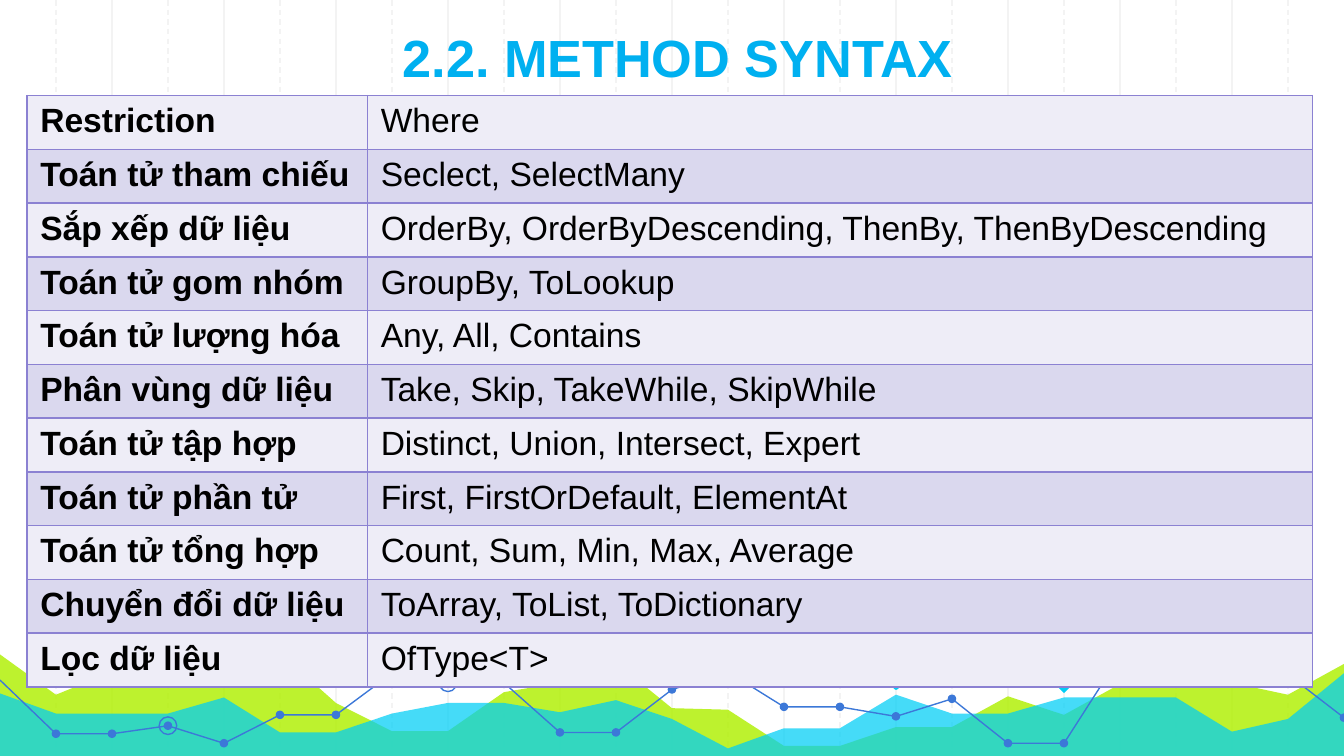
from lxml import etree
from pptx import Presentation
from pptx.dml.color import RGBColor
from pptx.enum.dml import MSO_LINE
from pptx.enum.shapes import MSO_CONNECTOR, MSO_SHAPE
from pptx.enum.text import MSO_ANCHOR, PP_ALIGN
from pptx.oxml import parse_xml
from pptx.oxml.ns import nsdecls, qn
from pptx.util import Pt

STRAIGHT = MSO_CONNECTOR.STRAIGHT
DASH = MSO_LINE.DASH
OVAL = MSO_SHAPE.OVAL
TEAR = MSO_SHAPE.TEAR
CENTER = PP_ALIGN.CENTER
MIDDLE = MSO_ANCHOR.MIDDLE

GRID = RGBColor(0xF3, 0xF3, 0xF3)
LIME = RGBColor(0xAF, 0xF0, 0x00)
CYAN = RGBColor(0x00, 0xCE, 0xF6)
BLUE = RGBColor(0x3C, 0x78, 0xD8)
TITLE = RGBColor(0x00, 0xB0, 0xF0)
BLACK = RGBColor(0x00, 0x00, 0x00)
BORDER = RGBColor(0x8B, 0x81, 0xD2)
BANDS = (RGBColor(0xEE, 0xED, 0xF7), RGBColor(0xDA, 0xD8, 0xEE))

FONT = "Arial"
STEPS = 24

LIME_RIDGE = [15.6, 37.2, 25, 25, 25, 14.9, 41.6, 56.7, 56.7, 35.8, 30.8, 20, 44.4,
              45.2, 64.6, 64.6, 54.5, 54.5, 38, 48, 31.5, 31.2, 30.8, 37.2, 20.7]
CYAN_RIDGE = [36.5, 47.3, 47.3, 47.3, 38.7, 57.4, 57.4, 47.3, 41.6, 41.6, 46.6, 40.1, 50.2,
              66, 55.2, 55.2, 37.2, 47.3, 47.3, 38.7, 38.7, 38.7, 57, 50.2, 25.7]
TREND = [29.3, 58.1, 58.1, 53.8, 63.2, 48, 48, 25.7, 30.8, 30.8, 57.4, 57.4, 34.4,
         25, 43.7, 43.7, 48.8, 39.4, 63.2, 63.2, 16.4, 26.4, 26.4, 26.4, 49.5]
TREND_PARTS = [(0, 11), (11, 20), (20, 24)]
RINGS = [3, 8, 13]
DROPS = [(5, 4.5, LIME, True), (16, 26.8, CYAN, False),
         (19, 29.7, CYAN, True), (23, 10.2, LIME, False)]

OPERATORS = [
    ("Restriction", "Where"),
    ("Toán tử tham chiếu", "Seclect, SelectMany"),
    ("Sắp xếp dữ liệu", "OrderBy, OrderByDescending, ThenBy, ThenByDescending"),
    ("Toán tử gom nhóm", "GroupBy, ToLookup"),
    ("Toán tử lượng hóa", "Any, All, Contains"),
    ("Phân vùng dữ liệu", "Take, Skip, TakeWhile, SkipWhile"),
    ("Toán tử tập hợp", "Distinct, Union, Intersect, Expert"),
    ("Toán tử phần tử", "First, FirstOrDefault, ElementAt"),
    ("Toán tử tổng hợp", "Count, Sum, Min, Max, Average"),
    ("Chuyển đổi dữ liệu", "ToArray, ToList, ToDictionary"),
    ("Lọc dữ liệu", "OfType<T>"),
]


def style_text(p, text, color, **formats):
    r = p.add_run()
    r.text = text
    for name, value in formats.items():
        setattr(r.font, name, value)
    r.font.color.rgb = color


def style_shape(sp, fill=None, line=None, width=0.75, alpha=None):
    sp.shadow.inherit = False
    if fill is None:
        sp.fill.background()
    else:
        sp.fill.solid()
        sp.fill.fore_color.rgb = fill
        if alpha:
            color = sp.element.spPr.find(qn("a:solidFill"))[0]
            etree.SubElement(color, qn("a:alpha"), val=str(alpha * 1000))
    if line is None:
        sp.line.fill.background()
    else:
        sp.line.color.rgb = line
        sp.line.width = Pt(width)


def add_outline(s, points, close, **style):
    points = [(Pt(x), Pt(y)) for x, y in points]
    builder = s.shapes.build_freeform(*points[0])
    builder.add_line_segments(points[1:], close=close)
    style_shape(builder.convert_to_shape(), **style)


def add_marker(s, kind, center, size, **style):
    x, y = center
    sp = s.shapes.add_shape(kind, Pt(x - size / 2), Pt(y - size / 2), Pt(size), Pt(size))
    style_shape(sp, **style)
    return sp


def add_grid(s, left, top, width, height):
    for first, dash in ((2, None), (1, DASH)):
        for i in range(first, STEPS, 2):
            x = left + i * width / STEPS
            line = s.shapes.add_connector(STRAIGHT, Pt(x), Pt(top), Pt(x), Pt(top + height))
            line.line.color.rgb = GRID
            line.line.width = Pt(0.75)
            line.line.dash_style = dash
            etree.SubElement(line.element.spPr, qn("a:effectLst"))


def add_landscape(s, left, top, width, height):
    def place(i, y):
        return left + i * width / STEPS, top + y

    def trace(heights):
        return [place(i, y) for i, y in enumerate(heights)]

    corners = [(left + width, top + height), (left, top + height)]
    for ridge, color, alpha in ((LIME_RIDGE, LIME, 82), (CYAN_RIDGE, CYAN, 73)):
        add_outline(s, trace(ridge) + corners, True, fill=color, alpha=alpha)
    for i, y, color, solid in DROPS:
        style = {"fill": color} if solid else {"line": color, "width": 2.25}
        add_marker(s, TEAR, place(i, y), 9.4, **style).rotation = 135
    trend = trace(TREND)
    for first, last in TREND_PARTS:
        add_outline(s, trend[first:last + 1], False, line=BLUE)
    for center in trend[1:]:
        add_marker(s, OVAL, center, 4.6, fill=BLUE)
    for i in RINGS:
        add_marker(s, OVAL, trend[i], 9.4, line=BLUE)


def add_title(s, left, top, width, height):
    sp = s.shapes.title
    s.shapes.element.append(sp.element)
    sp.left, sp.top, sp.width, sp.height = Pt(left), Pt(top), Pt(width), Pt(height)
    tf = sp.text_frame
    tf.word_wrap = True
    tf.vertical_anchor = MIDDLE
    p = tf.paragraphs[0]
    p.alignment = CENTER
    style_text(p, "2.2. METHOD SYNTAX", TITLE, name=FONT, size=Pt(28), bold=True)


def add_borders(cell):
    tcPr = cell._tc.get_or_add_tcPr()
    for side in ("lnL", "lnR", "lnT", "lnB"):
        tcPr.append(parse_xml(
            f'<a:{side} {nsdecls("a")} w="{Pt(1)}"><a:solidFill>'
            f'<a:srgbClr val="{BORDER}"/></a:solidFill></a:{side}>'))


def add_operator_table(s, left, top, width, height):
    frame = s.shapes.add_table(len(OPERATORS), 2, Pt(left), Pt(top), Pt(width), Pt(height))
    table = frame.table
    table.first_row = table.horz_banding = False
    label_width = 182.4
    table.columns[0].width = Pt(label_width)
    table.columns[1].width = Pt(width - label_width)
    for i, row in enumerate(OPERATORS):
        table.rows[i].height = Pt(height / len(OPERATORS))
        for j, text in enumerate(row):
            cell = table.cell(i, j)
            add_borders(cell)
            cell.fill.solid()
            cell.fill.fore_color.rgb = BANDS[i % 2]
            style_text(cell.text_frame.paragraphs[0], text, BLACK,
                       name=FONT, size=Pt(18), bold=j == 0)


def main():
    prs = Presentation()
    prs.slide_width, prs.slide_height = Pt(720), Pt(405)
    s = prs.slides.add_slide(prs.slide_layouts[5])
    add_grid(s, 0, 0, 720, 407)
    add_landscape(s, 0, 335, 720, 71.5)
    add_title(s, 97, 10, 532, 41)
    add_operator_table(s, 14.4, 51.2, 688.8, 316.8)
    prs.save("out.pptx")


if __name__ == "__main__":
    main()
